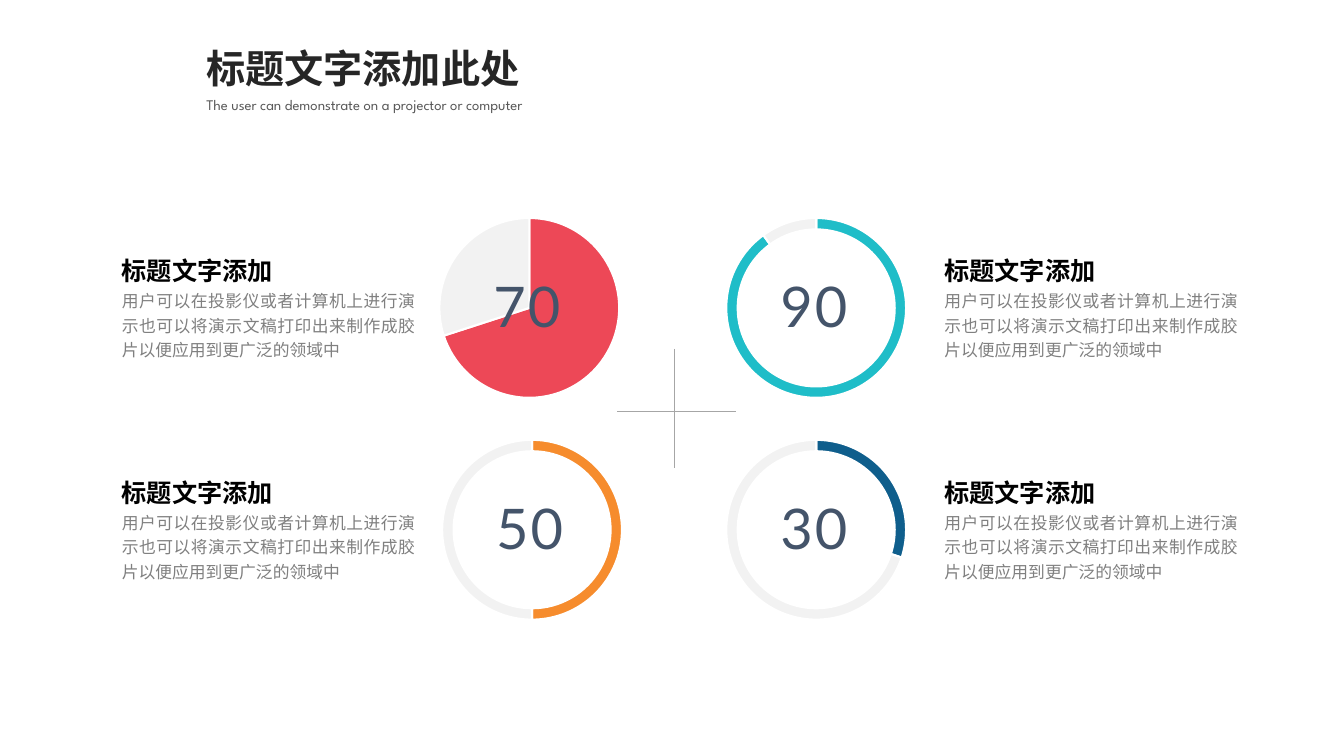
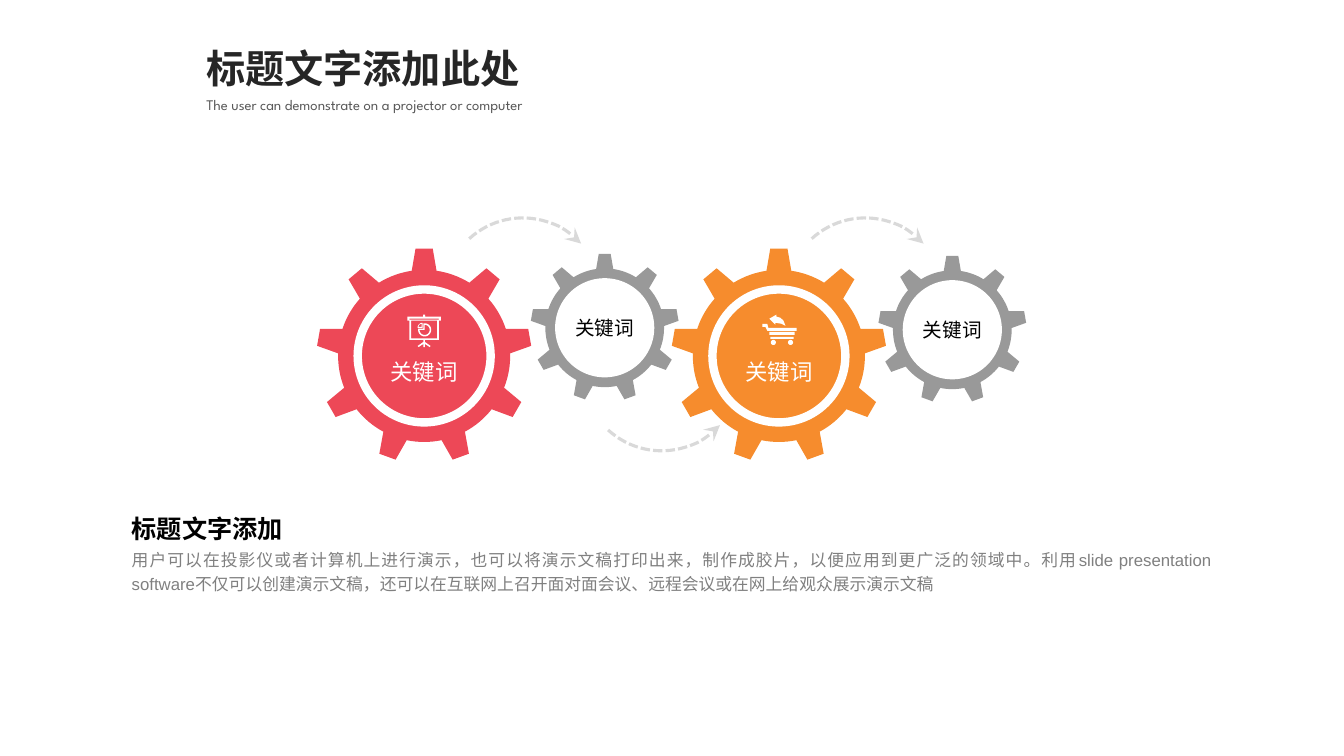
from math import cos, radians, sin

from lxml.etree import SubElement
from pptx import Presentation
from pptx.chart.data import CategoryChartData
from pptx.dml.color import RGBColor
from pptx.enum.chart import XL_CHART_TYPE
from pptx.enum.dml import MSO_LINE
from pptx.enum.shapes import MSO_CONNECTOR, MSO_SHAPE
from pptx.enum.text import MSO_ANCHOR, MSO_AUTO_SIZE, PP_ALIGN
from pptx.oxml import parse_xml
from pptx.oxml.ns import nsdecls, qn
from pptx.util import Cm, Pt

# Content
TITLE = "标题文字添加此处"
SUBTITLE = "The user can demonstrate on a projector or computer"
HEADING = "标题文字添加"
KEYWORD = "关键词"
RING_BODY = "用户可以在投影仪或者计算机上进行演示也可以将演示文稿打印出来制作成胶片以便应用到更广泛的领域中"
GEAR_BODY = (
    "用户可以在投影仪或者计算机上进行演示，也可以将演示文稿打印出来，制作成胶片，以便应用到更广泛的领域中。"
    "利用slide presentation software不仅可以创建演示文稿，还可以在互联网上召开面对面会议、"
    "远程会议或在网上给观众展示演示文稿"
)
# value, colour, centre x, centre y, text left, hollow (lengths in cm)
PIES = [
    (70, "red", 13.34, 7.76, 2.82, False),
    (90, "teal", 20.57, 7.76, 23.55, True),
    (50, "orange", 13.41, 13.35, 2.82, True),
    (30, "blue", 20.57, 13.35, 23.55, True),
]
CROSS = [(16.99, 8.79, 16.99, 11.79), (18.54, 10.36, 15.54, 10.36)]
SMALL_GEARS = [(15.24, 8.26), (24.0, 8.31)]
BIG_GEARS = [(10.69, 8.97, "red", "board"), (19.63, 8.97, "orange", "cart")]
# left, top, rotation, flipped
ARROWS = [(11.18, 5.49, 317.5, False), (19.81, 5.49, 317.5, False), (14.68, 7.37, 42.5, True)]

# Theme
THEME = {
    "colours": {
        "red": "ED4857", "teal": "1FBDC8", "orange": "F68C2D", "blue": "0F5E8C",
        "pale": "F2F2F2", "white": "FFFFFF", "black": "000000", "gear": "999999",
        "arrow": "D9D9D9", "cross": "A6A6A6", "title": "262626", "subtitle": "595959",
        "body": "808080", "number": "44546A",
    },
    "styles": {
        "title": ("title", {"size": Pt(28), "name": "Arial", "bold": True}),
        "subtitle": ("subtitle", {"size": Pt(10.5), "name": "League Spartan"}),
        "heading": ("black", {"size": Pt(18), "name": "Arial", "bold": True}),
        "body": ("body", {"size": Pt(12), "name": "Arial"}),
        "number": ("number", {"size": Pt(40), "name": "Lato"}),
        "big label": ("white", {"size": Pt(16), "name": "Arial"}),
        "small label": ("black", {"size": Pt(14), "name": "Arial"}),
        "chart": ("black", {"size": Pt(10), "name": "Arial"}),
    },
}
GROWING = {"word_wrap": True, "auto_size": MSO_AUTO_SIZE.SHAPE_TO_FIT_TEXT}
JUSTIFIED = {"alignment": PP_ALIGN.JUSTIFY, "line_spacing": 1.2}
CENTRED = {"alignment": PP_ALIGN.CENTER}
LABEL_FRAME = {
    "word_wrap": False, "vertical_anchor": MSO_ANCHOR.MIDDLE,
    "margin_left": 0, "margin_top": 0, "margin_right": 0, "margin_bottom": 0,
}


def colour(name):
    return RGBColor.from_string(THEME["colours"][name])


def apply(target, values):
    for name, value in values.items():
        setattr(target, name, value)


def style_font(font, style):
    colour_name, values = THEME["styles"][style]
    apply(font, values)
    font.color.rgb = colour(colour_name)


# Text
def write(shape, text, style, frame_format, para_format):
    apply(shape.text_frame, frame_format)
    para = shape.text_frame.paragraphs[0]
    apply(para, para_format)
    span = para.add_run()
    span.text = text
    style_font(span.font, style)
    return span


def add_text(page, place, text, style, frame_format=GROWING, para_format=JUSTIFIED):
    box = page.shapes.add_textbox(*map(Cm, place))
    return write(box, text, style, frame_format, para_format)


def add_header(page):
    left = {"alignment": PP_ALIGN.LEFT}
    add_text(page, (4.95, 2.29, 10.46, 0.71), SUBTITLE, "subtitle", para_format=left)
    add_text(page, (4.95, 0.99, 8.48, 1.45), TITLE, "title", {**GROWING, "word_wrap": False}, left)


def add_text_block(page, left, top, width, body):
    add_text(page, (left, top + 0.96, width, 1.5), body, "body")
    add_text(page, (left, top, 5.79, 1.19), HEADING, "heading")


# Shapes
def add_disc(page, x, y, diameter, fill, border=0):
    corner = (x - diameter / 2, y - diameter / 2)
    disc = page.shapes.add_shape(MSO_SHAPE.OVAL, *map(Cm, (*corner, diameter, diameter)))
    disc.shadow.inherit = False
    disc.fill.solid()
    disc.fill.fore_color.rgb = colour(fill)
    if border:
        disc.line.color.rgb = colour("white")
        disc.line.width = Pt(border)
    else:
        disc.line.fill.background()
    return disc


def add_outline(page, contours, fill):
    """Draw closed contours, in cm, as one shape."""
    contours = [[(Cm(x), Cm(y)) for x, y in contour] for contour in contours]
    builder = page.shapes.build_freeform(*contours[0][0])
    for number, contour in enumerate(contours):
        if number:
            builder.move_to(*contour[0])
        builder.add_line_segments(contour[1:], close=True)
    shape = builder.convert_to_shape()
    shape.shadow.inherit = False
    shape.fill.solid()
    shape.fill.fore_color.rgb = colour(fill)
    shape.line.fill.background()


def arc(x, y, radius, start, stop, steps=12):
    """Points on a circle, angles clockwise from the top."""
    angles = [radians(start + (stop - start) * step / steps) for step in range(steps + 1)]
    return [(x + radius * sin(angle), y - radius * cos(angle)) for angle in angles]


def rectangle(left, top, right, bottom):
    return [(left, top), (right, top), (right, bottom), (left, bottom)]


def add_gear(page, x, y, radius, fill, teeth=9):
    pitch = 360 / teeth
    points = []
    for tooth in range(teeth):
        middle = tooth * pitch
        points += arc(x, y, radius, middle - 4.6, middle + 4.6, 1)
        points += arc(x, y, radius * 0.8, middle + 8.3, middle + pitch - 8.3, 8)
    add_outline(page, [points], fill)


def add_arrow(page, left, top, rotation, flipped):
    arrow = page.shapes.add_shape(MSO_SHAPE.ARC, *map(Cm, (left, top, 3.99, 3.99)))
    arrow.shadow.inherit = False
    arrow.rotation = rotation
    arrow.fill.background()
    arrow.line.color.rgb = colour("arrow")
    apply(arrow.line, {"width": Pt(2.25), "dash_style": MSO_LINE.SQUARE_DOT})
    properties = arrow._element.spPr
    SubElement(properties.find(qn("a:ln")), qn("a:tailEnd"), type="stealth", w="lg", len="lg")
    if flipped:
        properties.find(qn("a:xfrm")).set("flipV", "1")


def add_cross_line(page, ends):
    line = page.shapes.add_connector(MSO_CONNECTOR.STRAIGHT, *map(Cm, ends))
    line.line.color.rgb = colour("cross")
    line.line.width = Pt(0.5)
    SubElement(line._element.spPr, qn("a:effectLst"))


# Pie charts
def add_pie(page, value, fill, x, y):
    data = CategoryChartData()
    data.categories = ["1", "2"]
    data.add_series("Series 1", (value, 100 - value))
    width, height = 6.3, 5.21
    place = map(Cm, (x - width / 2, y - height / 2, width, height))
    chart = page.shapes.add_chart(XL_CHART_TYPE.PIE, *place, data).chart
    apply(chart, {"has_legend": False, "has_title": False})
    style_font(chart.font, "chart")
    plot = chart.plots[0]
    plot.vary_by_categories = False
    for number, name in enumerate((fill, "pale")):
        slice_format = plot.series[0].points[number].format
        slice_format.fill.solid()
        slice_format.fill.fore_color.rgb = colour(name)
        slice_format.line.color.rgb = colour("white")
        slice_format.line.width = Pt(1.5)
    # Fix the plot area so every circle has one size
    plot_area = chart._chartSpace.chart.plotArea
    for layout in plot_area.findall(qn("c:layout")):
        plot_area.remove(layout)
    plot_area.insert(0, parse_xml(
        f'<c:layout {nsdecls("c")}><c:manualLayout><c:layoutTarget val="inner"/>'
        '<c:xMode val="edge"/><c:yMode val="edge"/><c:x val="0.14"/><c:y val="0.065"/>'
        '<c:w val="0.72"/><c:h val="0.87"/></c:manualLayout></c:layout>'))


# Icons, on a grid of 33 units
ICONS = {
    "board": [
        rectangle(0, 2, 33, 6), rectangle(2, 4, 31, 5),
        rectangle(2, 6, 31, 25), rectangle(3.5, 6, 29.5, 23.5),
        rectangle(15.5, 0, 17.5, 2), rectangle(15.7, 25, 17.3, 32),
        [(15.7, 27), (10, 31), (11, 32), (15.7, 29)],
        [(17.3, 27), (23, 31), (22, 32), (17.3, 29)],
        arc(17, 15, 6.5, -10, 280, 30) + [(15.8, 13.8)],
        arc(17, 15, 5, 0, 270, 30) + [(17, 15)],
        arc(15, 13, 5, 270, 360) + [(15, 13)],
        arc(14, 12, 3, 270, 360) + [(14, 12)],
    ],
    "cart": [
        arc(11, 27.5, 2.5, 0, 360, 24), arc(28, 27.5, 2.5, 0, 360, 24),
        rectangle(8, 22, 31, 24), rectangle(7, 17, 32, 20),
        [(0, 9), (5, 9), (6, 13), (34, 13), (34, 16), (5, 16), (3, 12), (0, 12)],
        [(14, 0), (14, 2), (18, 3), (21, 6), (23, 11), (19, 9), (13, 8), (13, 10), (7, 4)],
    ],
}


def add_icon(page, name, x, y):
    unit = 0.84 / 33
    contours = [[(x + across * unit, y + down * unit) for across, down in contour]
                for contour in ICONS[name]]
    add_outline(page, contours, "white")


# Slides
def build_pie_page(page):
    for value, fill, x, y, text_left, hollow in PIES:
        add_pie(page, value, fill, x, y)
        if hollow:
            add_disc(page, x, y, 4.01, "white")
        span = add_text(page, (x - 2.04, y - 1.05, 3.96, 1.96), str(value), "number",
                        para_format=CENTRED)
        span._r.get_or_add_rPr().set("spc", "150")
        add_text_block(page, text_left, y - 1.61, 7.9, RING_BODY)
    for ends in CROSS:
        add_cross_line(page, ends)


def build_gear_page(page):
    for x, y in SMALL_GEARS:
        add_gear(page, x, y, 1.87, "gear")
        disc = add_disc(page, x, y, 2.34, "white", 4.5)
        write(disc, KEYWORD, "small label", LABEL_FRAME, CENTRED)
    for arrow in ARROWS:
        add_arrow(page, *arrow)
    for x, y, fill, icon in BIG_GEARS:
        add_gear(page, x, y, 2.71, fill)
        add_disc(page, x, y, 3.35, fill, 6)
        add_icon(page, icon, x - 0.42, y - 1.04)
        add_text(page, (x - 1.65, y - 0.39, 3.3, 1.57), KEYWORD, "big label",
                 LABEL_FRAME, CENTRED)
    add_text_block(page, 3.07, 12.67, 27.71, GEAR_BODY)


def main():
    deck = Presentation()
    apply(deck, {"slide_width": Cm(33.87), "slide_height": Cm(19.05)})
    for build in (build_pie_page, build_gear_page):
        page = deck.slides.add_slide(deck.slide_layouts[6])
        build(page)
        add_header(page)
    deck.save("out.pptx")


if __name__ == "__main__":
    main()
